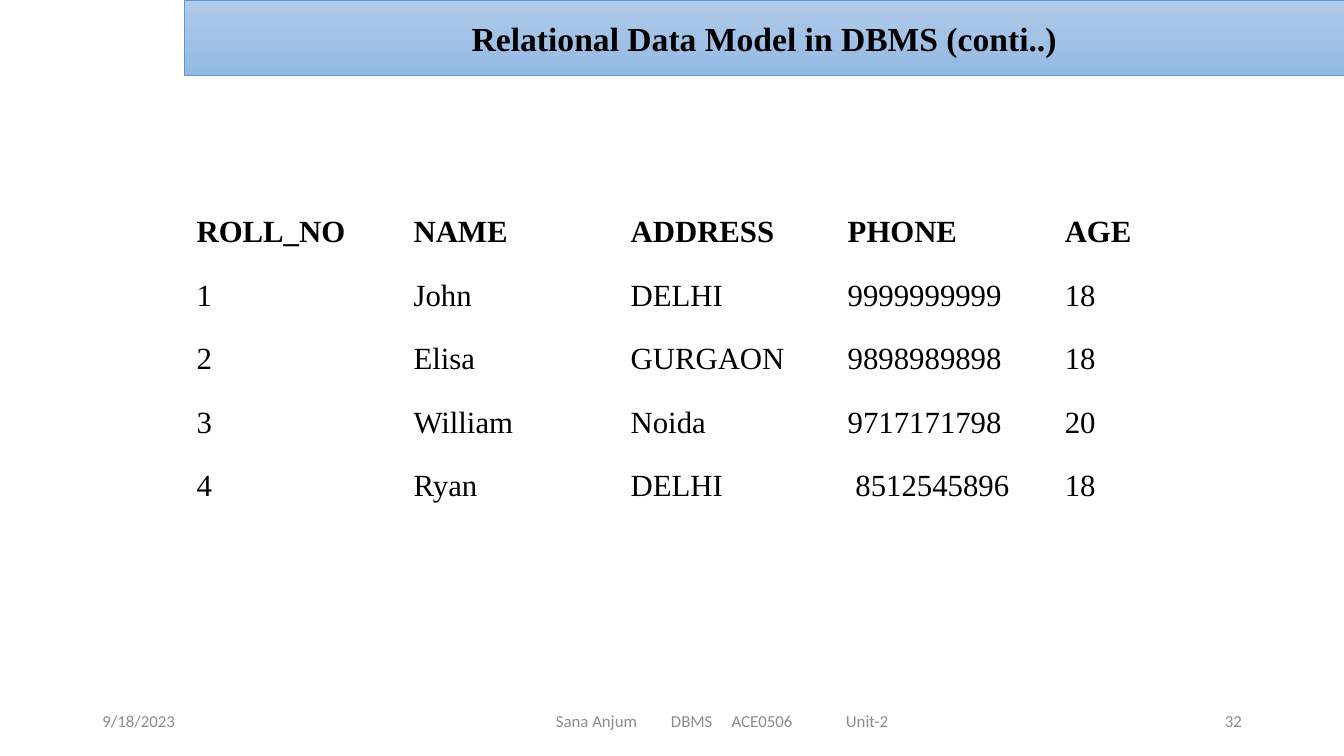
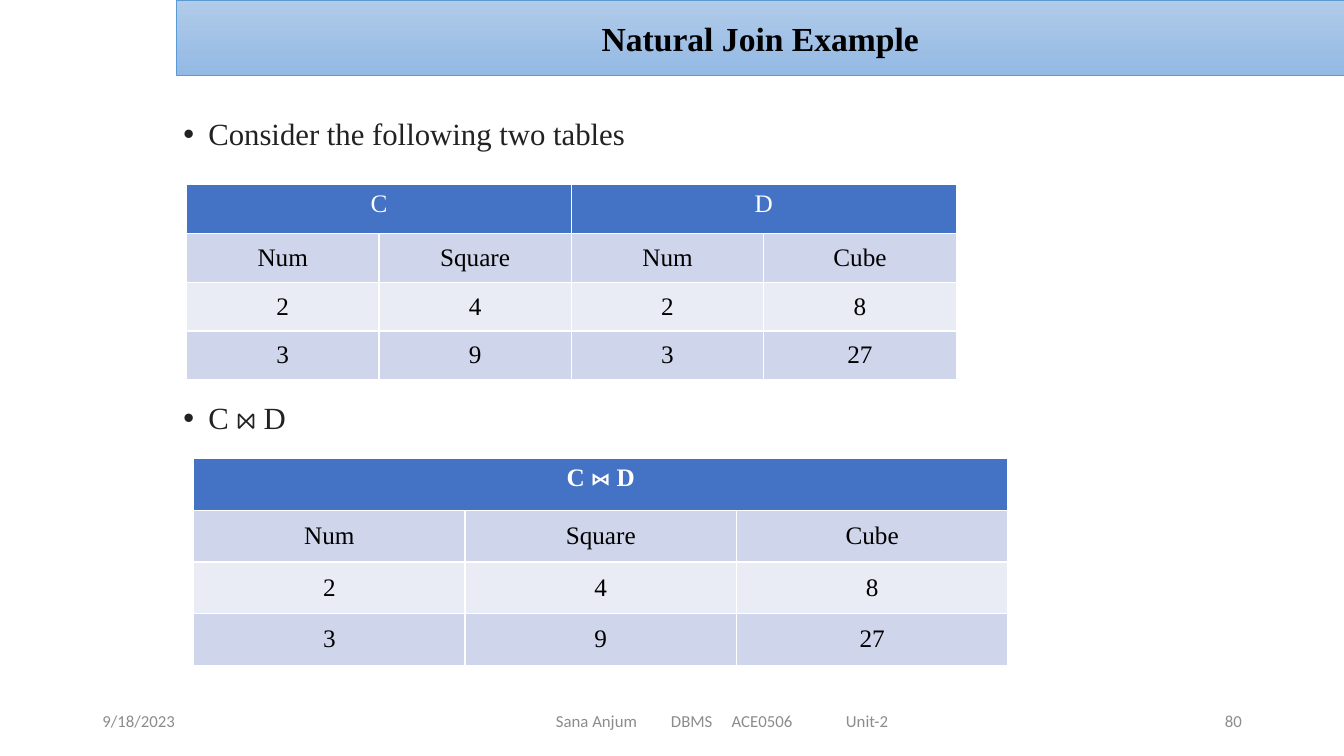
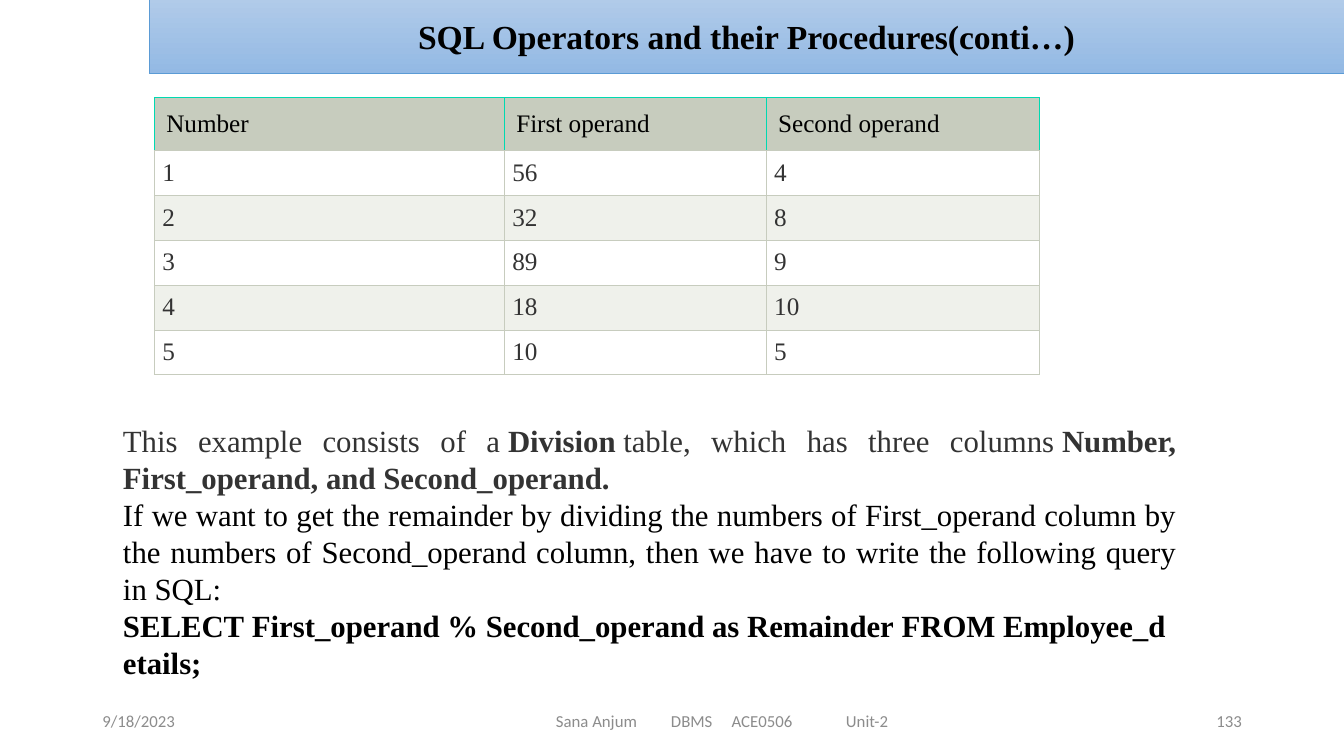
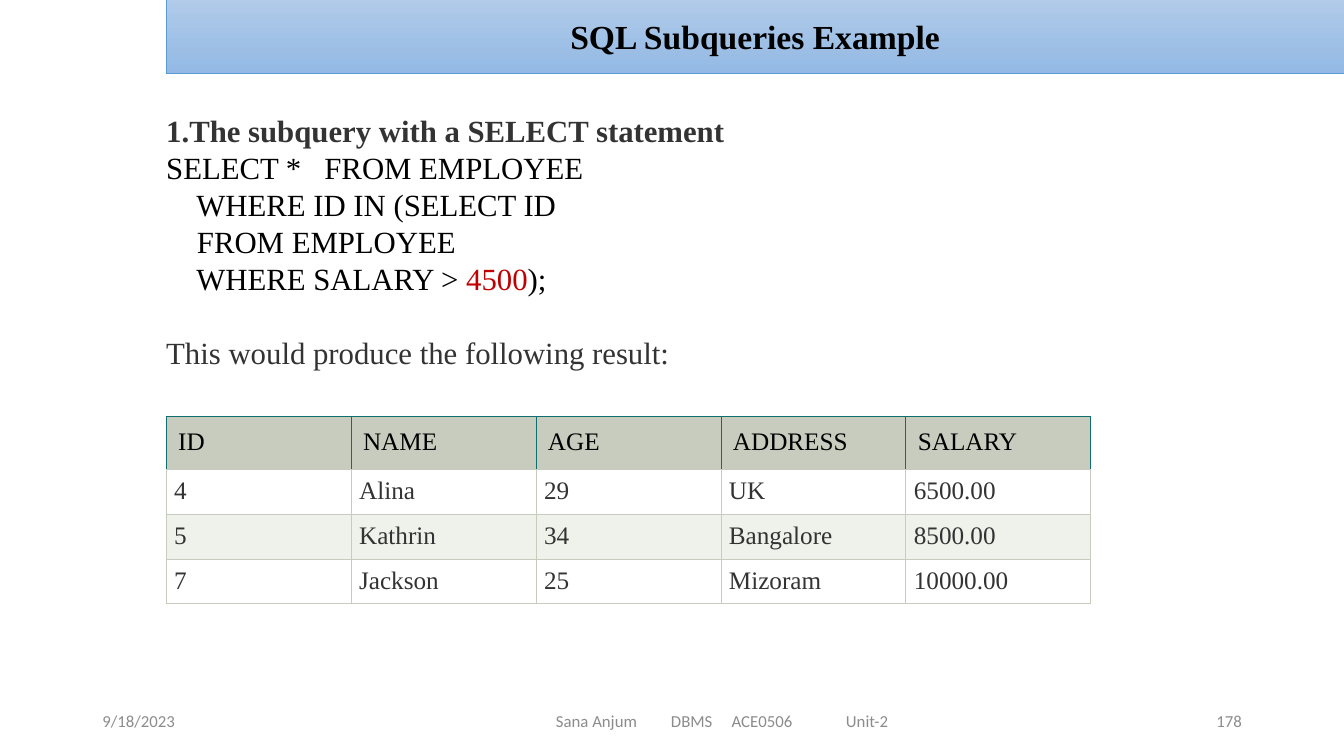
from dataclasses import dataclass

from lxml.etree import SubElement
from pptx import Presentation
from pptx.dml.color import RGBColor
from pptx.enum.shapes import MSO_SHAPE
from pptx.enum.text import MSO_ANCHOR, PP_ALIGN
from pptx.oxml import parse_xml
from pptx.oxml.ns import nsdecls, qn
from pptx.util import Cm, Pt

NBSP = chr(160)


@dataclass(frozen=True)
class Theme:
    serif: str = "Times New Roman"
    sans: str = "Calibri"
    title_size: int = 24
    body_size: int = 22
    cell_size: int = 18
    footer_size: int = 12
    line_pitch: float = 26.4
    black: str = "000000"
    white: str = "FFFFFF"
    dark: str = "333333"
    bullet_text: str = "222222"
    number: str = "C00000"
    footer: str = "8C8C8C"
    band_top: str = "B1CBE9"
    band_bottom: str = "93B9E4"
    band_line: str = "5B9BD5"
    blue: str = "4472C4"
    blue_bands: tuple = ("CFD5EA", "E9EBF5")
    sage: str = "C7CCBE"
    sage_bands: tuple = ("FFFFFF", "EFF1EB")
    mint: str = "00D9B1"
    teal: str = "106E70"


THEME = Theme()
SLIDE_WIDTH, SLIDE_HEIGHT = 33.87, 19.05


def set_format(target, values):
    for name, value in values.items():
        setattr(target, name, value)


def add_span(para, text, size, color, bold=False, name=THEME.serif):
    span = para.add_run()
    span.text = text
    set_format(span.font, {"size": Pt(size), "bold": bold, "name": name})
    span.font.color.rgb = RGBColor.from_string(color)


def add_box(page, left, top, width, height, **frame_format):
    box = page.shapes.add_textbox(Cm(left), Cm(top), Cm(width), Cm(height))
    set_format(box.text_frame, {"word_wrap": True, **frame_format})
    return box.text_frame


def add_title(page, text, left, top=0):
    band = page.shapes.add_shape(
        MSO_SHAPE.RECTANGLE, Cm(left), Cm(top), Cm(SLIDE_WIDTH - left), Cm(1.91))
    band.shadow.inherit = False
    band.fill.gradient()
    band.fill.gradient_angle = 270
    for stop, color in zip(band.fill.gradient_stops, (THEME.band_top, THEME.band_bottom)):
        stop.color.rgb = RGBColor.from_string(color)
    band.line.color.rgb = RGBColor.from_string(THEME.band_line)
    band.line.width = Pt(0.5)
    band.text_frame.vertical_anchor = MSO_ANCHOR.MIDDLE
    para = band.text_frame.paragraphs[0]
    para.alignment = PP_ALIGN.CENTER
    add_span(para, text, THEME.title_size, THEME.black, bold=True)


def add_footer(page, number):
    parts = (
        ("9/18/2023", 2.33, 7.62, PP_ALIGN.LEFT, 0.25),
        ("Sana Anjum\tDBMS\tACE0506\tUnit-2", 11.23, 13.97, PP_ALIGN.LEFT, 2.78),
        (str(number), 23.93, 7.62, PP_ALIGN.RIGHT, 0.25),
    )
    for text, left, width, alignment, indent in parts:
        frame = add_box(page, left, 17.65, width, 1.02,
                        vertical_anchor=MSO_ANCHOR.MIDDLE, margin_left=Cm(indent))
        para = frame.paragraphs[0]
        para.alignment = alignment
        if "\t" in text:
            tabs = SubElement(para._p.get_or_add_pPr(), qn("a:tabLst"))
            for stop in (2.9, 4.43, 7.31):
                SubElement(tabs, qn("a:tab"), pos=str(Cm(stop)), algn="l")
        add_span(para, text, THEME.footer_size, THEME.footer, name=THEME.sans)


def add_page(deck, title, number, left, top=0):
    page = deck.slides.add_slide(deck.slide_layouts[6])
    add_footer(page, number)
    add_title(page, title, left, top)
    return page


def add_bullet(page, text, top):
    para = add_box(page, 4.37, top, 27.89, 1.2).paragraphs[0]
    properties = para._p.get_or_add_pPr()
    properties.set("marL", str(Cm(0.63)))
    properties.set("indent", str(-Cm(0.63)))
    SubElement(properties, qn("a:buFont"), typeface="Arial")
    SubElement(properties, qn("a:buChar"), char="•")
    para.line_spacing = 0.9
    add_span(para, text, THEME.body_size, THEME.bullet_text)


def add_paragraphs(page, area, paragraphs, margin_top):
    """Each paragraph is a format dict and a list of (text, colour, bold) spans."""
    frame = add_box(page, *area, margin_left=0, margin_right=0,
                    margin_top=Cm(margin_top), margin_bottom=0)
    for index, (values, spans) in enumerate(paragraphs):
        para = frame.add_paragraph() if index else frame.paragraphs[0]
        set_format(para, {"line_spacing": Pt(THEME.line_pitch), **values})
        for text, color, bold in spans:
            add_span(para, text, THEME.body_size, color, bold)


def set_borders(cell, width, colors):
    """Colours run left, right, top, bottom."""
    properties = cell._tc.get_or_add_tcPr()
    for index, (side, color) in enumerate(zip("LRTB", colors)):
        properties.insert(index, parse_xml(
            f'<a:ln{side} {nsdecls("a")} w="{Pt(width)}"><a:solidFill>'
            f'<a:srgbClr val="{color}"/></a:solidFill></a:ln{side}>'))


def add_grid(page, left, top, widths, heights, rows, style_cell):
    """Add a plain table; style_cell(cell, row) returns the look of its text."""
    table = page.shapes.add_table(
        len(rows), len(widths), Cm(left), Cm(top), Cm(sum(widths)), Cm(sum(heights))).table
    set_format(table, {"first_row": False, "horz_banding": False})
    for column, width in zip(table.columns, widths):
        column.width = Cm(width)
    for row_index, (values, height) in enumerate(zip(rows, heights)):
        table.rows[row_index].height = Cm(height)
        for column_index, text in enumerate(values):
            cell = table.cell(row_index, column_index)
            look = style_cell(cell, row_index)
            if text:
                para = cell.text_frame.paragraphs[0]
                para.alignment = look.pop("alignment", PP_ALIGN.LEFT)
                add_span(para, text, **look)
    return table


def fill_cell(cell, color):
    cell.fill.solid()
    cell.fill.fore_color.rgb = RGBColor.from_string(color)


def style_plain(cell, row):
    cell.fill.background()
    set_format(cell, {"vertical_anchor": MSO_ANCHOR.MIDDLE,
                      "margin_top": Cm(0.3), "margin_bottom": Cm(0.3)})
    return {"size": THEME.body_size, "color": THEME.black, "bold": row == 0}


def blue_style(bold_header):
    def style(cell, row):
        fill_cell(cell, THEME.blue_bands[(row - 1) % 2] if row else THEME.blue)
        set_borders(cell, 1, [THEME.white] * 4)
        cell.vertical_anchor = MSO_ANCHOR.MIDDLE if row else MSO_ANCHOR.TOP
        return {"size": THEME.cell_size, "alignment": PP_ALIGN.CENTER,
                "color": THEME.black if row else THEME.white,
                "bold": bold_header and row == 0}
    return style


def sage_style(header_edge):
    def style(cell, row):
        fill_cell(cell, THEME.sage_bands[(row - 1) % 2] if row else THEME.sage)
        edge = THEME.sage if row else header_edge
        set_borders(cell, 0.75, [edge, edge, edge, THEME.sage])
        side = Cm(0.2 if row else 0.3)
        set_format(cell, {"margin_left": side, "margin_right": side,
                          "margin_top": side, "margin_bottom": Cm(0.1)})
        return {"size": THEME.cell_size, "color": THEME.dark if row else THEME.black}
    return style


def add_sage_table(page, left, top, widths, rows, header_edge):
    heights = [1.34] + [1.13] * (len(rows) - 1)
    add_grid(page, left, top, widths, heights, rows, sage_style(header_edge))


def add_relation_page(deck):
    page = add_page(deck, "Relational Data Model in DBMS (conti..)", 32, 4.65)
    rows = [
        ("ROLL_NO", "NAME", "ADDRESS", "PHONE", "AGE"),
        ("1", "John", "DELHI", "9999999999", "18"),
        ("2", "Elisa", "GURGAON", "9898989898", "18"),
        ("3", "William", "Noida", "9717171798", "20"),
        ("4", "Ryan", "DELHI", f"{NBSP}8512545896", "18"),
    ]
    add_grid(page, 4.7, 5.05, [5.47] * 5, [1.6] * 5, rows, style_plain)


def add_join_page(deck):
    page = add_page(deck, "Natural Join Example", 80, 4.45)
    add_bullet(page, "Consider the following two tables", 2.87)
    add_bullet(page, "C ⋈ D", 10.03)
    sources = [
        ("C", "", "D", ""),
        ("Num", "Square", "Num", "Cube"),
        ("2", "4", "2", "8"),
        ("3", "9", "3", "27"),
    ]
    table = add_grid(page, 4.7, 4.65, [4.85] * 4, [1.23] * 4, sources, blue_style(False))
    for first in (0, 2):
        table.cell(0, first).merge(table.cell(0, first + 1))
    joined = [
        ("C ⋈ D", "", ""),
        ("Num", "Square", "Cube"),
        ("2", "4", "8"),
        ("3", "9", "27"),
    ]
    table = add_grid(page, 4.88, 11.56, [6.84] * 3, [1.3] * 4, joined, blue_style(True))
    table.cell(0, 0).merge(table.cell(0, 2))


def add_operators_page(deck):
    page = add_page(deck, "SQL Operators and their Procedures(conti…)", 133, 3.76, -0.05)
    rows = [
        ("Number", "First operand", "Second operand"),
        ("1", "56", "4"),
        ("2", "32", "8"),
        ("3", "89", "9"),
        ("4", "18", "10"),
        ("5", "10", "5"),
    ]
    add_sage_table(page, 3.89, 2.46, [8.82, 6.6, 6.88], rows, THEME.mint)
    query = "SELECT First_operand % Second_operand as Remainder FROM Employee_details;"
    justified = {"alignment": PP_ALIGN.JUSTIFY}
    add_paragraphs(page, (3.1, 9.58, 26.54, 8.38), [
        (justified, [
            (f"This example consists of a{NBSP}", THEME.dark, False),
            ("Division", THEME.dark, True),
            (f"{NBSP}table, which has three columns{NBSP}", THEME.dark, False),
            ("Number, First_operand, and Second_operand.", THEME.dark, True),
        ]),
        (justified, [(
            "If we want to get the remainder by dividing the numbers of First_operand "
            "column by the numbers of Second_operand column, then we have to write the "
            "following query in SQL:", THEME.black, False)]),
        (justified, [(query.replace(" ", NBSP), THEME.black, True)]),
    ], margin_top=1.05)


def add_subquery_page(deck):
    page = add_page(deck, "SQL Subqueries Example", 178, 4.19, -0.05)
    rows = [
        ("ID", "NAME", "AGE", "ADDRESS", "SALARY"),
        ("4", "Alina", "29", "UK", "6500.00"),
        ("5", "Kathrin", "34", "Bangalore", "8500.00"),
        ("7", "Jackson", "25", "Mizoram", "10000.00"),
    ]
    add_sage_table(page, 4.19, 10.49, [4.66] * 5, rows, THEME.teal)
    add_paragraphs(page, (4.19, 2.77, 26.24, 8.13), [
        ({}, [("1.The subquery with a SELECT statement", THEME.dark, True)]),
        ({}, [("SELECT *   FROM EMPLOYEE", THEME.black, False)]),
        ({}, [("    WHERE ID IN (SELECT ID", THEME.black, False)]),
        ({}, [("    FROM EMPLOYEE", THEME.black, False)]),
        ({}, [("    WHERE SALARY > ", THEME.black, False),
              ("4500", THEME.number, False),
              (");", THEME.black, False)]),
        ({"space_before": Pt(THEME.line_pitch)},
         [("This would produce the following result:", THEME.dark, False)]),
    ], margin_top=0.05)


def main():
    deck = Presentation()
    set_format(deck, {"slide_width": Cm(SLIDE_WIDTH), "slide_height": Cm(SLIDE_HEIGHT)})
    for add_content in (add_relation_page, add_join_page,
                        add_operators_page, add_subquery_page):
        add_content(deck)
    deck.save("out.pptx")


if __name__ == "__main__":
    main()
